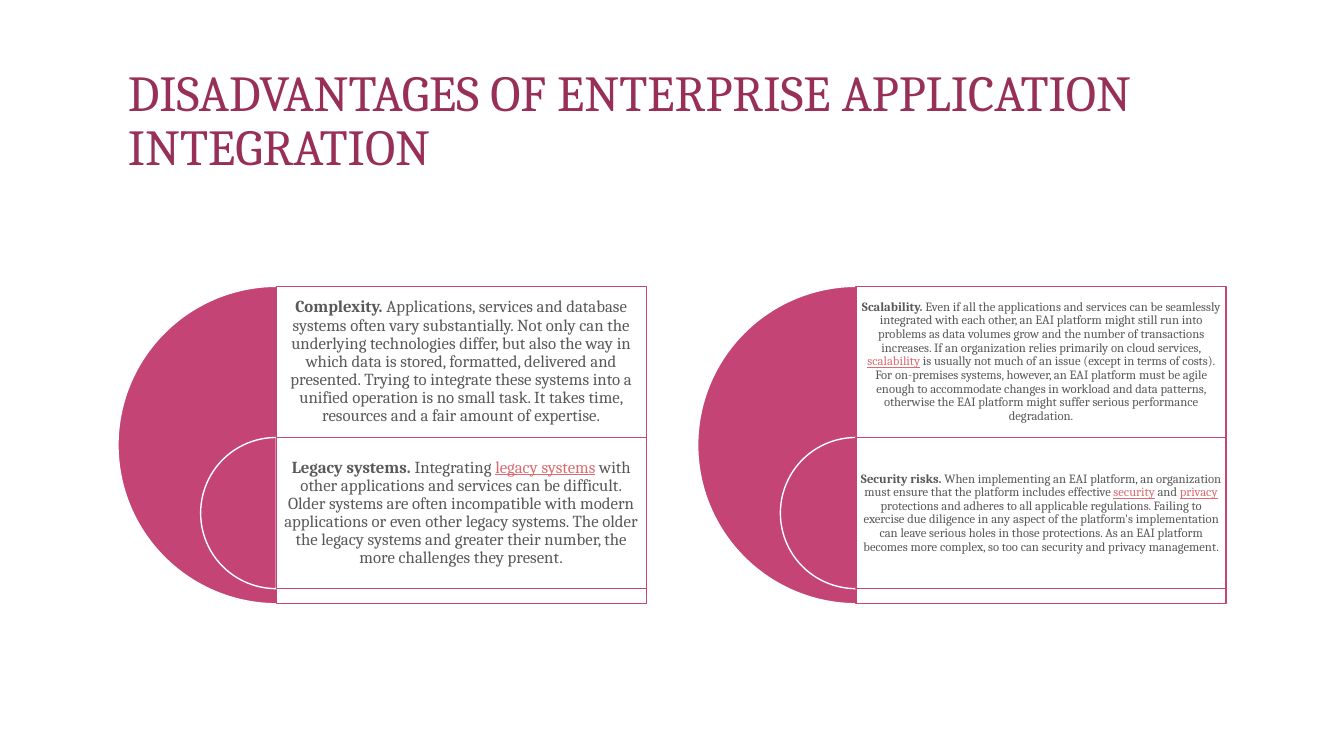
from lxml import etree
from pptx import Presentation, util as u
from pptx.dml.color import RGBColor
from pptx.enum import shapes, text
from pptx.oxml.ns import qn

WHITE = RGBColor(0xFF, 0xFF, 0xFF)
ROSE = RGBColor(0xC4, 0x44, 0x75)
PLUM = RGBColor(0x97, 0x2F, 0x57)
GREY = RGBColor(0x59, 0x59, 0x59)
CORAL = RGBColor(0xDB, 0x6B, 0x70)
FONT = "Cambria"
SCALE = 9144

TOP, ROW, DISC, PANEL_WIDTH = 284, 150, 315, 367

GROUPS = [
    (117, 12, 5, [
        ["Complexity.",
         " Applications, services and database systems often vary substantially. "
         "Not only can the underlying technologies differ, but also the way in which data is "
         "stored, formatted, delivered and presented. Trying to integrate these systems into a "
         "unified operation is no small task. It takes time, resources and a fair amount of "
         "expertise."],
        ["Legacy systems.", " Integrating ", "legacy systems",
         " with other applications and services can be difficult. Older systems are often "
         "incompatible with modern applications or even other legacy systems. The older the "
         "legacy systems and greater their number, the more challenges they present."],
    ]),
    (692, 9, 4, [
        ["Scalability.",
         " Even if all the applications and services can be seamlessly integrated with each "
         "other, an EAI platform might still run into problems as data volumes grow and the "
         "number of transactions increases. If an organization relies primarily on cloud "
         "services, ", "scalability",
         " is usually not much of an issue (except in terms of costs). For on-premises systems, "
         "however, an EAI platform must be agile enough to accommodate changes in workload and "
         "data patterns, otherwise the EAI platform might suffer serious performance "
         "degradation."],
        ["Security risks.",
         " When implementing an EAI platform, an organization must ensure that the platform "
         "includes effective ", "security", " and ", "privacy",
         " protections and adheres to all applicable regulations. Failing to exercise due "
         "diligence in any aspect of the platform's implementation can leave serious holes in "
         "those protections. As an EAI platform becomes more complex, so too can security and "
         "privacy management."],
    ]),
]


class Deck:
    """Holds the style and the current slide, and draws each kind of element."""

    def __init__(self, width, height):
        self.deck = Presentation()
        self.deck.slide_width, self.deck.slide_height = self.px(width), self.px(height)
        self.slide = self.deck.slides.add_slide(self.deck.slide_layouts[6])

    def px(self, length):
        return u.Emu(length * SCALE)

    def shape(self, kind, box, fill, line):
        shape = self.slide.shapes.add_shape(kind, *map(self.px, box))
        shape.shadow.inherit = False
        shape.fill.solid()
        shape.fill.fore_color.rgb = fill
        shape.line.color.rgb = line
        shape.line.width = u.Pt(1)
        return shape

    def half_disc(self, left, top, size):
        disc = self.shape(shapes.MSO_SHAPE.PIE, (left, top, size, size), ROSE, WHITE)
        disc.adjustments[0], disc.adjustments[1] = 54, 162

    def panel(self, *box):
        panel = self.shape(shapes.MSO_SHAPE.RECTANGLE, box, WHITE, ROSE)
        colour = panel.fill._xPr.find(qn("a:solidFill"))[0]
        etree.SubElement(colour, qn("a:alpha")).set("val", "90000")

    def words(self, box, parts, size, inset, anchor, align, style):
        frame = self.slide.shapes.add_textbox(*map(self.px, box)).text_frame
        frame.word_wrap = True
        frame.vertical_anchor = anchor
        frame.margin_left = frame.margin_right = self.px(inset[0])
        frame.margin_top = frame.margin_bottom = self.px(inset[1])
        paragraph = frame.paragraphs[0]
        paragraph.alignment = align
        paragraph.line_spacing = 0.9
        for index, part in enumerate(parts):
            run = paragraph.add_run()
            run.text = part
            run.font.name, run.font.size = FONT, u.Pt(size)
            style(run.font, index)

    def title(self, box, wording):
        def style(font, index):
            font.color.rgb = PLUM
        self.words(box, [wording], 36, (10, 5), text.MSO_ANCHOR.BOTTOM,
                   text.PP_ALIGN.LEFT, style)

    def point(self, box, parts, size, inset):
        def style(font, index):
            linked = index > 0 and index % 2 == 0
            font.bold = index == 0
            font.underline = linked
            font.color.rgb = CORAL if linked else GREY
        self.words(box, parts, size, (inset, inset), text.MSO_ANCHOR.MIDDLE,
                   text.PP_ALIGN.CENTER, style)

    def save(self):
        self.deck.save("out.pptx")


def main():
    page = Deck(1333, 750)
    page.title((117, 50, 1100, 130), "DISADVANTAGES OF ENTERPRISE APPLICATION INTEGRATION")
    for left, size, inset, points in GROUPS:
        middle = left + DISC // 2
        for row, (parts, disc) in enumerate(zip(points, (DISC, ROW))):
            top = TOP + row * ROW
            page.half_disc(middle - disc // 2, top, disc)
            page.panel(middle, top, PANEL_WIDTH, disc)
            page.point((middle, top, PANEL_WIDTH, ROW), parts, size, inset)
    page.save()


if __name__ == "__main__":
    main()
